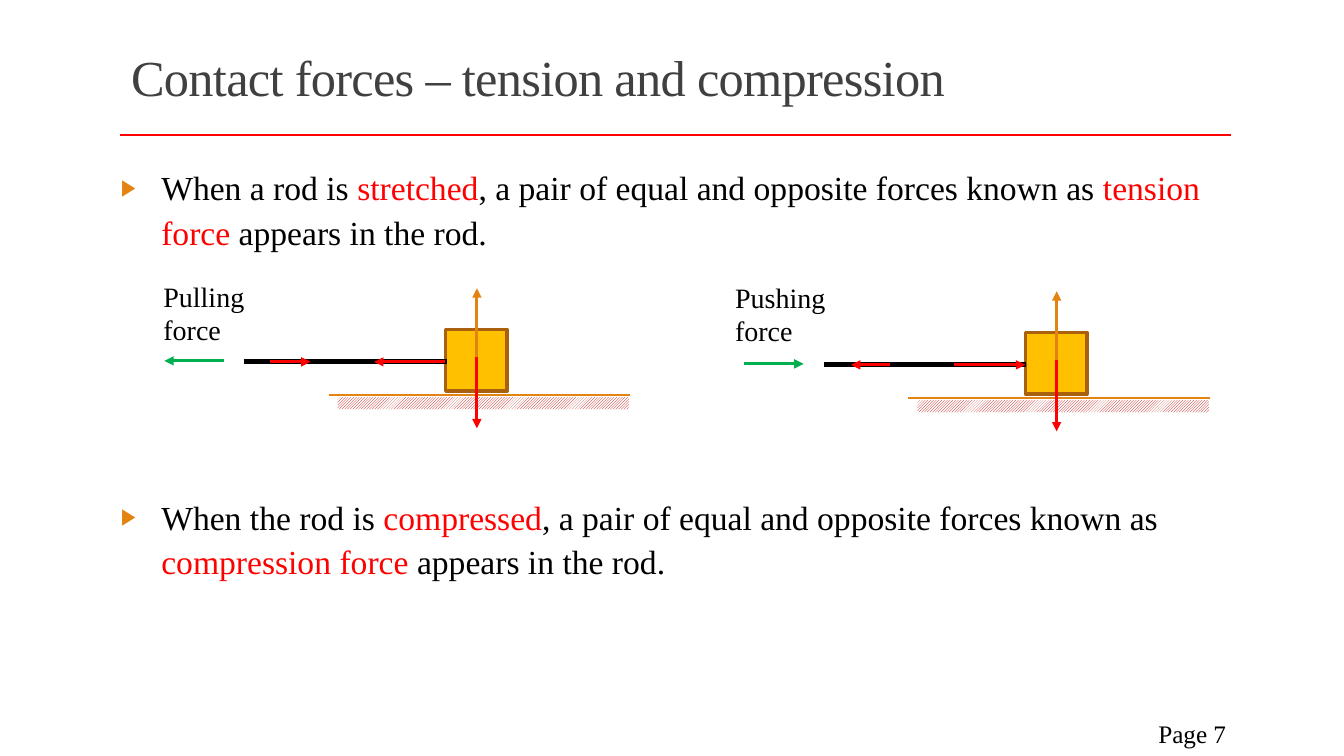
from lxml.etree import SubElement
from pptx import Presentation
from pptx.dml.color import RGBColor
from pptx.enum.dml import MSO_PATTERN
from pptx.enum.shapes import MSO_CONNECTOR, MSO_SHAPE
from pptx.enum.text import MSO_ANCHOR, MSO_AUTO_SIZE, PP_ALIGN
from pptx.oxml.ns import qn
from pptx.util import Emu, Pt

BLACK, RED, ORANGE, GREEN = "000000", "FF0000", "E48312", "00B050"


def px(length):
    """100 px to the inch."""
    return Emu(length * 9144)


def color(value):
    return RGBColor.from_string(value)


class SlideBuilder:
    font_name = "Times New Roman"

    def __init__(self, presentation):
        self.slide = presentation.slides.add_slide(presentation.slide_layouts[1])

    def place(self, shape, left, top, width, height):
        shape.left, shape.top = px(left), px(top)
        shape.width, shape.height = px(width), px(height)

    def format_run(self, run, size, hex_color):
        run.font.name = self.font_name
        run.font.size = Pt(size)
        run.font.color.rgb = color(hex_color)

    def title(self, text, *box):
        title = self.slide.shapes.title
        self.place(title, *box)
        frame = title.text_frame
        frame.text = text
        frame.auto_size = MSO_AUTO_SIZE.NONE
        frame.vertical_anchor = MSO_ANCHOR.MIDDLE
        paragraph = frame.paragraphs[0]
        paragraph.alignment = PP_ALIGN.LEFT
        paragraph.line_spacing = 0.85
        run = paragraph.runs[0]
        self.format_run(run, 36, "404040")
        run.font._element.set("spc", "-50")

    def bullets(self, items, gap, *box):
        """Each item is a list of texts, alternately plain and highlighted."""
        body = self.slide.placeholders[1]
        self.place(body, *box)
        frame = body.text_frame
        frame.auto_size = MSO_AUTO_SIZE.NONE
        frame.vertical_anchor = MSO_ANCHOR.TOP
        frame.margin_left = frame.margin_right = 0
        for index, texts in enumerate(items):
            paragraph = frame.add_paragraph() if index else frame.paragraphs[0]
            self.bullet_mark(paragraph)
            paragraph.line_spacing = 1.1
            paragraph.space_before = Pt(gap if index else 0)
            paragraph.space_after = Pt(3)
            for position, text in enumerate(texts):
                run = paragraph.add_run()
                run.text = text
                self.format_run(run, 24, RED if position % 2 else BLACK)

    def bullet_mark(self, paragraph):
        properties = paragraph._p.get_or_add_pPr()
        properties.set("marL", str(px(40)))
        properties.set("indent", str(px(-40)))
        bullet_color = SubElement(properties, qn("a:buClr"))
        SubElement(bullet_color, qn("a:srgbClr"), val=ORANGE)
        SubElement(properties, qn("a:buSzPct"), val="68000")
        SubElement(properties, qn("a:buChar"), char="▶")

    def text(self, shapes, text, size, margin, *box, align=PP_ALIGN.LEFT):
        text_box = shapes.add_textbox(*map(px, box))
        frame = text_box.text_frame
        frame.word_wrap = True
        frame.margin_left = frame.margin_right = px(margin)
        frame.margin_top = frame.margin_bottom = px(4)
        frame.text = text
        frame.paragraphs[0].alignment = align
        self.format_run(frame.paragraphs[0].runs[0], size, BLACK)

    def line(self, shapes, start, end, hex_color, width, arrow=False):
        connector = shapes.add_connector(
            MSO_CONNECTOR.STRAIGHT, *map(px, start), *map(px, end))
        connector.line.color.rgb = color(hex_color)
        connector.line.width = Pt(width)
        if arrow:
            SubElement(connector.line._get_or_add_ln(), qn("a:tailEnd"), type="triangle")
        SubElement(connector._element.spPr, qn("a:effectLst"))

    def rectangle(self, shapes, *box):
        shape = shapes.add_shape(MSO_SHAPE.RECTANGLE, *map(px, box))
        shape.shadow.inherit = False
        return shape

    def rod_diagram(self, x, y, label, label_x, label_y, rod_arrows, hand_arrow):
        """x, y: left end of the rod; arrows are (start, end) offsets from x."""
        shapes = self.slide.shapes.add_group_shape().shapes

        # Block with its support force
        block = self.rectangle(shapes, x + 200, y - 32, 61, 61)
        block.fill.solid()
        block.fill.fore_color.rgb = color("FFC000")
        block.line.color.rgb = color("A9610D")
        block.line.width = Pt(2.5)
        middle = x + 231
        self.line(shapes, (middle, y - 3), (middle, y - 73), ORANGE, 2.25, True)

        # Ground
        self.line(shapes, (x + 84, y + 33), (x + 383, y + 33), ORANGE, 1)
        ground = self.rectangle(shapes, x + 93, y + 35, 289, 12)
        ground.fill.patterned()
        ground.fill.pattern = MSO_PATTERN.LIGHT_UPWARD_DIAGONAL
        ground.fill.fore_color.rgb = color("C00000")
        ground.fill.back_color.rgb = color("FFFFFF")
        ground.line.fill.background()

        # Weight, rod and forces along the rod
        self.line(shapes, (middle, y - 5), (middle, y + 66), RED, 2.25, True)
        self.line(shapes, (x, y), (x + 201, y), BLACK, 3.5)
        for start, end in rod_arrows:
            self.line(shapes, (x + start, y), (x + end, y), RED, 2.25, True)
        start, end = hand_arrow
        self.line(shapes, (x + start, y - 1), (x + end, y - 1), GREEN, 2.25, True)
        self.text(shapes, label, 20, 4, label_x, label_y, 112, 41)


def main():
    presentation = Presentation()
    presentation.slide_width, presentation.slide_height = px(1333), px(750)
    builder = SlideBuilder(presentation)
    shapes = builder.slide.shapes

    # Heading
    builder.line(shapes, (119, 134), (1221, 134), RED, 2)
    builder.title("Contact forces – tension and compression", 120, 31, 1100, 98)

    # Explanations, with room for the diagrams between them
    builder.bullets([
        ["When a rod is ", "stretched",
         ", a pair of equal and opposite forces known as ",
         "tension force", " appears in the rod."],
        ["When the rod is ", "compressed",
         ", a pair of equal and opposite forces known as ",
         "compression force ", "appears in the rod."],
    ], 169, 120, 157, 1102, 512)

    # Diagrams
    builder.rod_diagram(242, 359, "Pulling force", 158, 273,
                        [(199, 129), (26, 66)], (-20, -79))
    builder.rod_diagram(817, 362, "Pushing force", 725, 274,
                        [(129, 200), (66, 27)], (-79, -20))

    # Page number
    builder.text(shapes, "Page 7", 18, 10, 1083, 709, 143, 40, align=PP_ALIGN.RIGHT)

    presentation.save("out.pptx")


if __name__ == "__main__":
    main()
